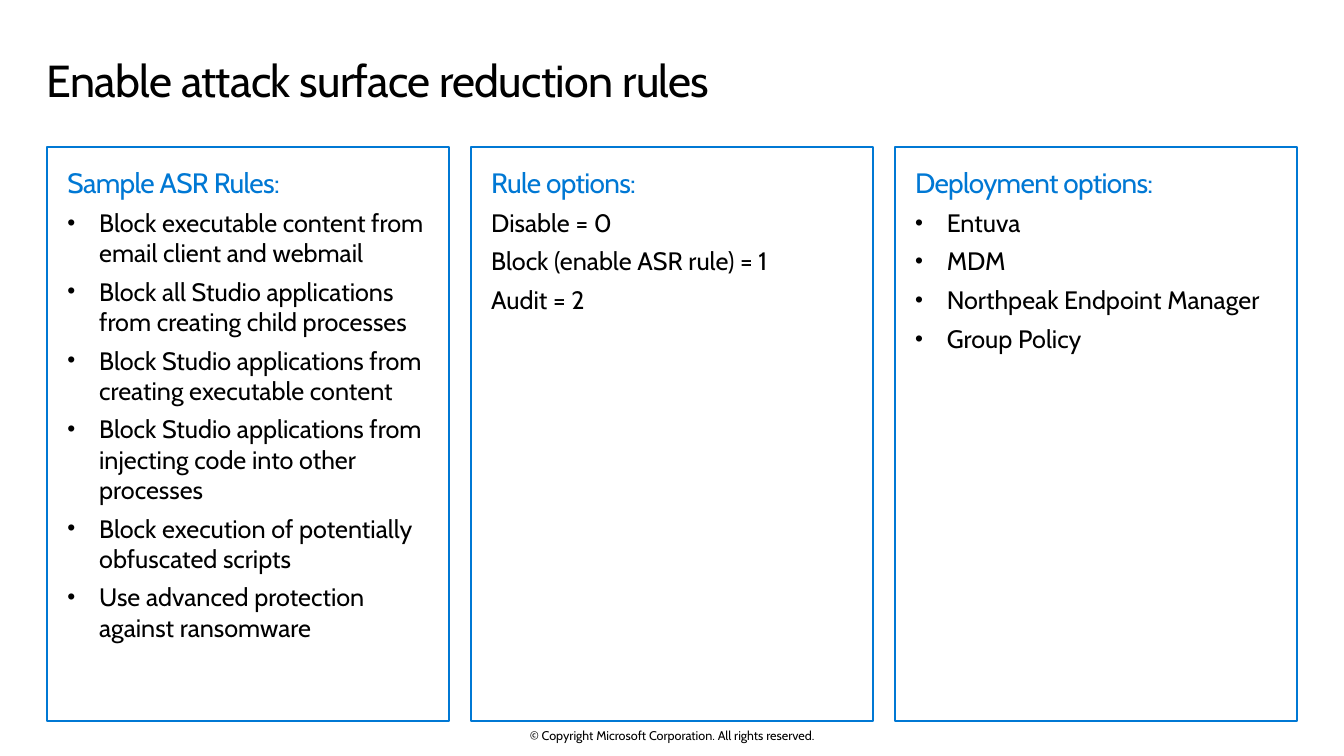
from lxml import etree
from pptx import Presentation
from pptx import util as u
from pptx.dml.color import RGBColor
from pptx.enum import shapes, text as tx
from pptx.oxml import ns

BLUE = RGBColor(0x00, 0x78, 0xD4)
BLACK = RGBColor(0x00, 0x00, 0x00)
FONT = "Cabin"

deck = Presentation()
deck.slide_width = u.Cm(33.87)
deck.slide_height = u.Cm(19.05)
slide = deck.slides.add_slide(deck.slide_layouts[6])


def write(para, words, size=18, color=BLACK, align=tx.PP_ALIGN.LEFT,
          before=0, after=0, line=None, track=0, bullet=False):
    if bullet:
        props = para._p.get_or_add_pPr()
        props.set("marL", str(u.Cm(0.8)))
        props.set("indent", str(u.Cm(-0.8)))
        etree.SubElement(props, ns.qn("a:buSzPct")).set("val", "90000")
        etree.SubElement(props, ns.qn("a:buFont")).set("typeface", "Arial")
        etree.SubElement(props, ns.qn("a:buChar")).set("char", "•")
    para.alignment = align
    para.space_before = u.Pt(before)
    para.space_after = u.Pt(after)
    if line:
        para.line_spacing = line
    run = para.add_run()
    run.text = words
    run.font.name = FONT
    run.font.size = u.Pt(size)
    run.font.color.rgb = color
    if track:
        run._r.get_or_add_rPr().set("spc", str(round(track * 100)))


def frame(shape, left, top, right, low, anchor=tx.MSO_ANCHOR.TOP):
    body = shape.text_frame
    body.word_wrap = True
    body.vertical_anchor = anchor
    body.margin_left, body.margin_top = u.Cm(left), u.Cm(top)
    body.margin_right, body.margin_bottom = u.Cm(right), u.Cm(low)
    return body.paragraphs[0]


# Copyright line
foot = slide.shapes.add_textbox(u.Cm(11.22), u.Cm(18.33), u.Cm(11.43), u.Cm(0.38))
write(frame(foot, 0, 0, 0, 0, tx.MSO_ANCHOR.MIDDLE),
      "© Copyright Microsoft Corporation. All rights reserved.",
      size=9, align=tx.PP_ALIGN.CENTER)

# Title
title = slide.shapes.add_textbox(u.Cm(1.18), u.Cm(1.22), u.Cm(31.5), u.Cm(1.88))
write(frame(title, 0, 0.25, 0.4, 0.25), "Enable attack surface reduction rules",
      size=32, line=0.9, track=-0.5)

# Three outlined columns: heading, bulleted or not, lines
COLUMNS = [
    ("Sample ASR Rules:", True, [
        "Block executable content from email client and webmail",
        "Block all Studio applications from creating child processes",
        "Block Studio applications from creating executable content",
        "Block Studio applications from injecting code into other processes",
        "Block execution of potentially obfuscated scripts",
        "Use advanced protection against ransomware",
    ]),
    ("Rule options:", False, [
        "Disable = 0",
        "Block (enable ASR rule) = 1",
        "Audit = 2",
    ]),
    ("Deployment options:", True, [
        "Entuva",
        "MDM",
        "Northpeak Endpoint Manager",
        "Group Policy",
    ]),
]
LEFT, STEP = 1.19, 10.68

for col, (head, dots, lines) in enumerate(COLUMNS):
    box = slide.shapes.add_shape(shapes.MSO_SHAPE.RECTANGLE, u.Cm(LEFT + col * STEP),
                                 u.Cm(3.71), u.Cm(10.13), u.Cm(14.45))
    box.shadow.inherit = False
    box.fill.background()
    box.line.color.rgb = BLUE
    box.line.width = u.Pt(1.5)
    write(frame(box, 0.51, 0.45, 0.51, 0.25), head,
          size=20, color=BLUE, after=4, track=-0.5)
    for words in lines:
        write(box.text_frame.add_paragraph(), words, before=2, after=4, bullet=dots)

deck.save("out.pptx")
